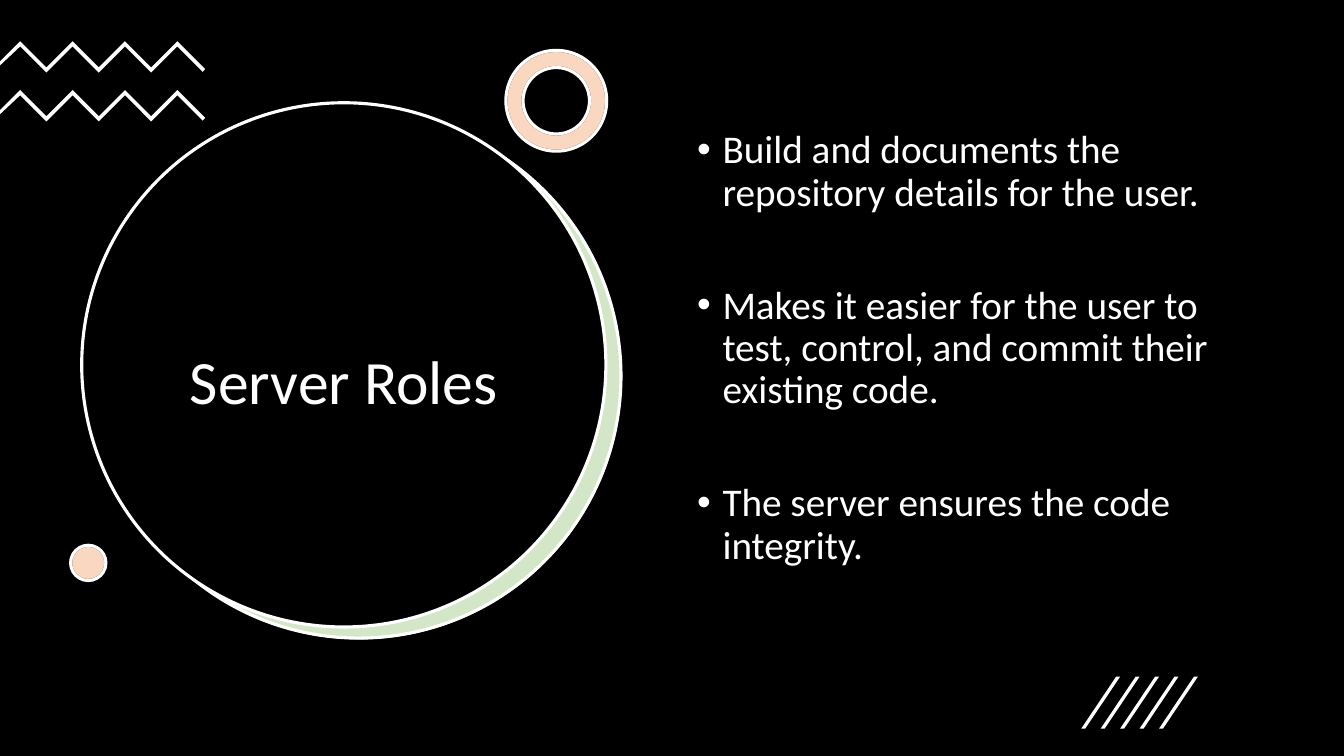
"""Build the Server Roles slide."""
import lxml.etree
import pptx
import pptx.dml.color
import pptx.enum.shapes
import pptx.enum.text
import pptx.oxml.ns
import pptx.util

Cm = pptx.util.Cm
Pt = pptx.util.Pt
qn = pptx.oxml.ns.qn
SHAPE = pptx.enum.shapes.MSO_SHAPE

COLORS = {"ink": "000000", "paper": "FFFFFF", "green": "70AD47", "orange": "ED7D31"}
ROLES = [
    "Build and documents the repository details for the user.",
    "Makes it easier for the user to test, control, and commit their existing code.",
    "The server ensures the code integrity.",
]


def rgb(name):
    """Return the named colour."""
    return pptx.dml.color.RGBColor.from_string(COLORS[name])


def paint(shape, fill, line=None, opacity=None):
    """Set fill, outline and optional fill opacity in percent."""
    shape.shadow.inherit = False
    shape.fill.solid()
    shape.fill.fore_color.rgb = rgb(fill)
    if opacity is not None:
        color = shape._element.spPr.find(qn("a:solidFill")).find(qn("a:srgbClr"))
        lxml.etree.SubElement(color, qn("a:alpha")).set("val", str(opacity * 1000))
    if line is None:
        shape.line.fill.background()
    else:
        shape.line.color.rgb = rgb(line)
        shape.line.width = Pt(2.25)


def add_preset(slide, kind, left, top, width, height, fill, line=None, opacity=None):
    """Add a painted preset shape, measured in centimetres."""
    shape = slide.shapes.add_shape(kind, Cm(left), Cm(top), Cm(width), Cm(height))
    paint(shape, fill, line, opacity)
    return shape


def add_tinted(slide, kind, left, top, size):
    """Add a white shape under a translucent orange one."""
    layers = [("paper", "ink", None), ("orange", "paper", 30)]
    return [add_preset(slide, kind, left, top, size, size, *layer) for layer in layers]


def add_outline(group, points):
    """Add a closed white polygon through points in centimetres."""
    corners = [(Cm(x), Cm(y)) for x, y in points]
    builder = group.shapes.build_freeform(*corners[0])
    builder.add_line_segments(corners[1:], close=True)
    paint(builder.convert_to_shape(), "paper")


def add_zigzags(slide):
    """Add the two zigzag bands at the top left."""
    group = slide.shapes.add_group_shape()
    bends = [(0.51 + 0.66 * i, 0.66 * (i % 2)) for i in range(7)]
    lower = [(x, y + 0.13) for x, y in reversed(bends)]
    band = [(0, 0.51), *bends, (5.17, 0.7), (5.11, 0.77), *lower, (0, 0.61)]
    for top in (1.04, 2.27):
        add_outline(group, [(x, top + y) for x, y in band])


def add_slashes(slide):
    """Add the five slanted strokes at the bottom right."""
    group = slide.shapes.add_group_shape()
    for i in range(5):
        left = 27.25 + 0.49 * i
        add_outline(group, [(left + 0.1, 18.36), (left, 18.36),
                            (left + 0.88, 17.05), (left + 0.98, 17.05)])


def add_text(slide, left, top, width, height, lines, size):
    """Add a text box with one paragraph per line and return its frame."""
    box = slide.shapes.add_textbox(Cm(left), Cm(top), Cm(width), Cm(height))
    frame = box.text_frame
    frame.word_wrap = True
    frame.text = "\n".join(lines)
    for para in frame.paragraphs:
        para.line_spacing = 0.9
        for span in para.runs:
            span.font.name = "Calibri"
            span.font.size = Pt(size)
            span.font.color.rgb = rgb("paper")
    return frame


def add_title(slide):
    """Add the centred title inside the large circle."""
    frame = add_text(slide, 3.07, 5.21, 11.2, 8.94, ["Server Roles"], 44)
    frame.vertical_anchor = pptx.enum.text.MSO_ANCHOR.MIDDLE
    frame.paragraphs[0].alignment = pptx.enum.text.PP_ALIGN.CENTER


def add_roles(slide):
    """Add the bulleted list of roles."""
    frame = add_text(slide, 17.32, 3.15, 14.5, 12.09, ROLES, 28)
    for i, para in enumerate(frame.paragraphs):
        para.space_before = Pt(50.5 if i else 0)
        props = para._p.get_or_add_pPr()
        props.set("marL", str(Cm(0.64)))
        props.set("indent", str(-Cm(0.64)))
        lxml.etree.SubElement(props, qn("a:buFont")).set("typeface", "Arial")
        lxml.etree.SubElement(props, qn("a:buChar")).set("char", "•")


def main():
    """Assemble and save the deck."""
    deck = pptx.Presentation()
    deck.slide_width, deck.slide_height = Cm(33.87), Cm(19.05)
    slide = deck.slides.add_slide(deck.slide_layouts[6])
    add_preset(slide, SHAPE.RECTANGLE, 0, 0, 33.87, 19.05, "ink")
    add_preset(slide, SHAPE.OVAL, 2.46, 2.9, 13.21, 13.21, "paper")
    add_preset(slide, SHAPE.OVAL, 2.44, 2.87, 13.21, 13.21, "green", "paper", 30)
    add_preset(slide, SHAPE.OVAL, 2.06, 2.59, 13.21, 13.21, "ink", "paper")
    add_title(slide)
    add_zigzags(slide)
    for ring in add_tinted(slide, SHAPE.DONUT, 12.75, 1.27, 2.54):
        ring.adjustments[0] = 0.17
    add_tinted(slide, SHAPE.OVAL, 1.78, 13.74, 0.89)
    add_roles(slide)
    add_slashes(slide)
    deck.save("out.pptx")


if __name__ == "__main__":
    main()
